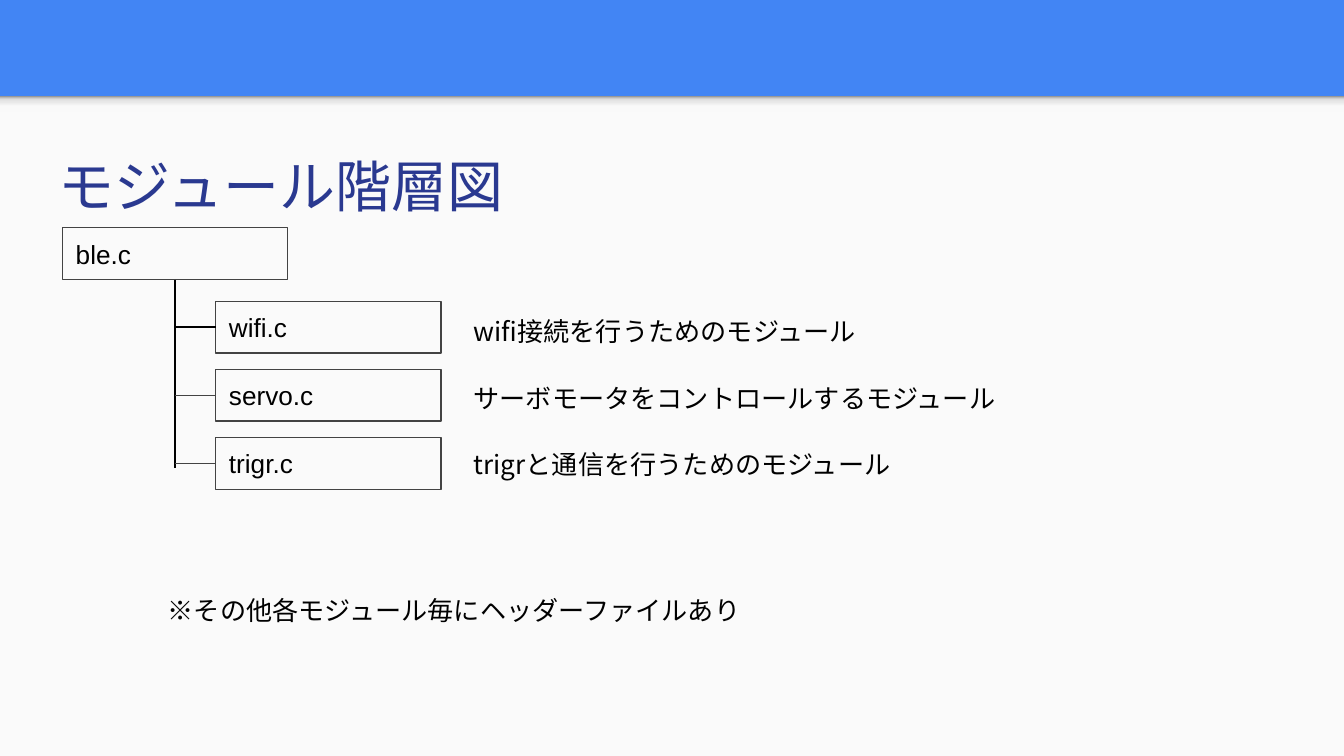
from dataclasses import dataclass

from lxml.etree import SubElement
from pptx import Presentation
from pptx.dml.color import RGBColor
from pptx.enum.shapes import MSO_CONNECTOR, MSO_SHAPE
from pptx.enum.text import MSO_ANCHOR, MSO_AUTO_SIZE, PP_ALIGN
from pptx.oxml.ns import qn
from pptx.shapes.autoshape import Shape
from pptx.shapes.connector import Connector
from pptx.slide import Slide
from pptx.util import Inches, Length, Pt

# The slide is a grid of 100 columns by 56.25 rows (16:9)
COLUMNS, ROWS = 100, 56.25
COLORS = {
    "band": "4285F4",
    "paper": "FAFAFA",
    "title": "2A3990",
    "text": "000000",
    "outline": "434343",
}
SHADOW_STOPS = [(0, "F9F9F9"), (36, "F9F9F9"), (80, "DEDEDE"), (100, "999999")]
LATIN, JAPANESE = "Arial", "Noto Sans CJK JP"

BAND_ROWS = 7.15
BOX_WIDTH, BOX_HEIGHT = 16.75, 3.85
CHILD_LEFT, CHILD_TOP, CHILD_PITCH = 16.05, 22.42, 5.07
NOTE_LEFT, NOTE_TOP, NOTE_PITCH = 34.25, 22.5, 4.92
NOTE_WIDTH, NOTE_HEIGHT = 54.4, 4.4
TRUNK_END = 34.8


@dataclass(frozen=True)
class Module:
    file_name: str
    description: str
    branch_color: str


MODULES = [
    Module("wifi.c", "wifi接続を行うためのモジュール", "text"),
    Module("servo.c", "サーボモータをコントロールするモジュール", "outline"),
    Module("trigr.c", "trigrと通信を行うためのモジュール", "outline"),
]


def cells(count: float) -> Length:
    return Inches(count / 10)


def color(name: str) -> RGBColor:
    return RGBColor.from_string(COLORS[name])


def write_text(shape: Shape, text: str, *, size: float = 14, font: str = JAPANESE,
               ink: str = "text", anchor: MSO_ANCHOR = MSO_ANCHOR.TOP) -> None:
    frame = shape.text_frame
    frame.word_wrap = True
    frame.vertical_anchor = anchor
    frame.margin_left = frame.margin_right = cells(1)
    frame.margin_top = frame.margin_bottom = cells(1)
    paragraph = frame.paragraphs[0]
    paragraph.alignment = PP_ALIGN.LEFT
    run = paragraph.add_run()
    run.text = text
    run.font.size = Pt(size)
    run.font.name = font
    run.font.color.rgb = color(ink)
    SubElement(run.font._element, qn("a:ea"), typeface=font)


def add_rectangle(slide: Slide, left: float, top: float, width: float, height: float) -> Shape:
    shape = slide.shapes.add_shape(
        MSO_SHAPE.RECTANGLE, cells(left), cells(top), cells(width), cells(height))
    shape.shadow.inherit = False
    shape.line.fill.background()
    return shape


def add_module_box(slide: Slide, left: float, top: float, file_name: str) -> Shape:
    box = add_rectangle(slide, left, top, BOX_WIDTH, BOX_HEIGHT)
    box.fill.background()
    box.line.color.rgb = color("outline")
    box.line.width = Pt(0.75)
    write_text(box, file_name, font=LATIN, anchor=MSO_ANCHOR.MIDDLE)
    return box


def add_label(slide: Slide, left: float, top: float, text: str) -> None:
    label = slide.shapes.add_textbox(
        cells(left), cells(top), cells(NOTE_WIDTH), cells(NOTE_HEIGHT))
    write_text(label, text)
    label.text_frame.auto_size = MSO_AUTO_SIZE.SHAPE_TO_FIT_TEXT


def add_joined_line(slide: Slide, box: Shape, side: int, end_x: Length, end_y: Length,
                    ink: str) -> Connector:
    line = slide.shapes.add_connector(MSO_CONNECTOR.STRAIGHT, end_x, end_y, end_x, end_y)
    line.begin_connect(box, side)
    line.line.color.rgb = color(ink)
    line.line.width = Pt(0.75)
    SubElement(line._element.spPr, qn("a:effectLst"))
    return line


def add_band_shadow(slide: Slide) -> None:
    strip = add_rectangle(slide, 0, BAND_ROWS, COLUMNS, 1.2)
    strip.fill.gradient()
    strip.fill.gradient_angle = 90
    stop_list = strip._element.spPr.find(qn("a:gradFill")).find(qn("a:gsLst"))
    for stop in list(stop_list):
        stop_list.remove(stop)
    for position, value in SHADOW_STOPS:
        stop = SubElement(stop_list, qn("a:gs"), pos=str(position * 1000))
        SubElement(stop, qn("a:srgbClr"), val=value)


def main() -> None:
    presentation = Presentation()
    presentation.slide_width, presentation.slide_height = cells(COLUMNS), cells(ROWS)
    slide = presentation.slides.add_slide(presentation.slide_layouts[6])

    # Blue band above the paper, with a soft shadow
    background = slide.background.fill
    background.solid()
    background.fore_color.rgb = color("band")
    paper = add_rectangle(slide, 0, BAND_ROWS, COLUMNS, ROWS - BAND_ROWS)
    paper.fill.solid()
    paper.fill.fore_color.rgb = color("paper")
    add_band_shadow(slide)

    # Title
    title = slide.shapes.add_textbox(cells(3.4), cells(10.3), cells(93.2), cells(6.6))
    write_text(title, "モジュール階層図", size=30, font="Roboto", ink="title")

    # Root module and trunk
    root = add_module_box(slide, 4.65, 16.95, "ble.c")
    trunk_x = root.left + root.width // 2
    add_joined_line(slide, root, 2, trunk_x, cells(TRUNK_END), "text")

    # Child modules with branches and descriptions
    for index, module in enumerate(MODULES):
        box = add_module_box(
            slide, CHILD_LEFT, CHILD_TOP + index * CHILD_PITCH, module.file_name)
        middle = box.top + box.height // 2
        add_joined_line(slide, box, 1, trunk_x, middle, module.branch_color)
        add_label(slide, NOTE_LEFT, NOTE_TOP + index * NOTE_PITCH, module.description)

    # Footnote
    add_label(slide, 11.5, 43.2, "※その他各モジュール毎にヘッダーファイルあり")

    presentation.save("out.pptx")


if __name__ == "__main__":
    main()
